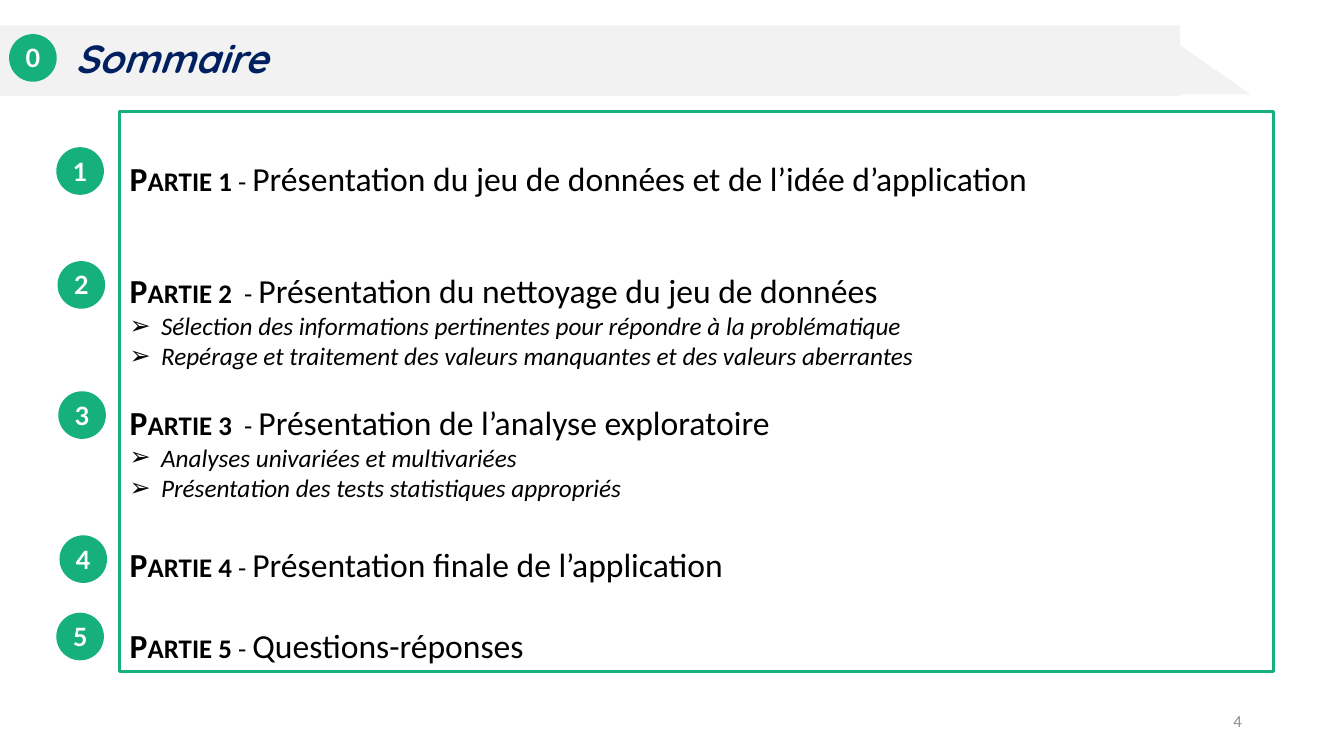
import pptx
import pptx.util
import pptx.dml.color
import pptx.enum.shapes
import pptx.enum.text
import pptx.oxml
import pptx.oxml.ns

Cm = pptx.util.Cm
Pt = pptx.util.Pt
RGBColor = pptx.dml.color.RGBColor
SHAPE = pptx.enum.shapes.MSO_SHAPE
ALIGN = pptx.enum.text.PP_ALIGN
ANCHOR = pptx.enum.text.MSO_ANCHOR

GREEN = RGBColor(0x16, 0xB0, 0x7D)
NAVY = RGBColor(0x00, 0x20, 0x60)
PALE = RGBColor(0xF2, 0xF2, 0xF2)
GREY = RGBColor(0x8C, 0x8C, 0x8C)
WHITE = RGBColor(0xFF, 0xFF, 0xFF)
BLACK = RGBColor(0, 0, 0)

# Number, badge left and top (cm), space above (pt), label, dash, heading, details
PARTS = [
    ("1", 1.42, 3.71, 0, "Partie 1", " - ",
     "Présentation du jeu de données et de l’idée d’application", []),
    ("2", 1.45, 6.58, 51.3, "Partie 2 ", " - ",
     "Présentation du nettoyage du jeu de données",
     ["Sélection des informations pertinentes pour répondre à la problématique",
      "Repérage et traitement des valeurs manquantes et des valeurs aberrantes"]),
    ("3", 1.47, 9.86, 22, "Partie 3 ", " - ",
     "Présentation de l’analyse exploratoire",
     ["Analyses univariées et multivariées",
      "Présentation des tests statistiques appropriés"]),
    ("4", 1.5, 13.49, 29.3, "Partie 4", " - ",
     "Présentation finale de l’application", []),
    ("5", 1.42, 15.44, 29.3, "Partie 5 ", "- ", "Questions-réponses", []),
]


def add_run(p, text, color, size, small=False, **formats):
    r = p.add_run()
    r.text = text
    r.font.color.rgb = color
    r.font.size = Pt(size)
    for name, value in formats.items():
        setattr(r.font, name, value)
    if small:
        r.font._element.set("cap", "small")


def set_frame(tf, **formats):
    for name, value in formats.items():
        setattr(tf, name, value)


def add_block(s, kind, left, top, width, height, fill=None):
    sp = s.shapes.add_shape(kind, Cm(left), Cm(top), Cm(width), Cm(height))
    sp.shadow.inherit = False
    sp.line.fill.background()
    if fill is None:
        sp.fill.background()
    else:
        sp.fill.solid()
        sp.fill.fore_color.rgb = fill
    return sp


def add_badge(s, number, left, top):
    sp = add_block(s, SHAPE.OVAL, left, top, 1.2, 1.2, GREEN)
    set_frame(sp.text_frame, margin_left=0, margin_right=0, margin_top=0,
              margin_bottom=0, vertical_anchor=ANCHOR.MIDDLE)
    p = sp.text_frame.paragraphs[0]
    p.alignment = ALIGN.CENTER
    add_run(p, number, WHITE, 18, name="Lato", bold=True)


def add_bullet(p):
    pPr = p._p.get_or_add_pPr()
    pPr.set("marL", str(Cm(0.79)))
    pPr.set("indent", str(-Cm(0.79)))
    for tag, key, value in (("buFont", "typeface", "Arial"), ("buChar", "char", "➢")):
        pPr.append(pptx.oxml.parse_xml(
            f'<a:{tag} {pptx.oxml.ns.nsdecls("a")} {key}="{value}"/>'))


def add_title(s, text):
    sp = s.shapes.title
    sp.left, sp.top, sp.width, sp.height = Cm(0.66), Cm(0.74), Cm(20.98), Cm(1.45)
    set_frame(sp.text_frame, margin_left=Cm(1.24), word_wrap=True,
              vertical_anchor=ANCHOR.TOP)
    p = sp.text_frame.paragraphs[0]
    p.alignment = ALIGN.LEFT
    add_run(p, text, NAVY, 28, name="Quicksand", bold=True, italic=True)
    s.shapes._spTree.append(sp.element)  # bring the title in front of the banner


def add_summary(s):
    sp = add_block(s, SHAPE.RECTANGLE, 3.02, 2.82, 29.08, 14.1)
    sp.line.color.rgb = GREEN
    sp.line.width = Pt(2.25)
    tf = sp.text_frame
    set_frame(tf, margin_top=Cm(1.16), word_wrap=True, vertical_anchor=ANCHOR.TOP)
    p = tf.paragraphs[0]
    for number, left, top, space, label, dash, heading, details in PARTS:
        if space:
            p = tf.add_paragraph()
            p.space_before = Pt(space)
        p.alignment = ALIGN.LEFT
        add_run(p, label, BLACK, 24, small=True, name="Calibri", bold=True)
        add_run(p, dash, BLACK, 24, small=True, name="Calibri")
        add_run(p, heading, BLACK, 24, name="Calibri")
        for detail in details:
            p = tf.add_paragraph()
            p.alignment = ALIGN.LEFT
            add_bullet(p)
            add_run(p, detail, BLACK, 18, name="Calibri", italic=True)


def add_page_number(s, number):
    sp = s.shapes.add_textbox(Cm(23.93), Cm(17.65), Cm(7.62), Cm(1.02))
    set_frame(sp.text_frame, word_wrap=True, vertical_anchor=ANCHOR.MIDDLE)
    p = sp.text_frame.paragraphs[0]
    p.alignment = ALIGN.RIGHT
    add_run(p, number, GREY, 12, name="Calibri")


def main():
    prs = pptx.Presentation()
    prs.slide_width, prs.slide_height = Cm(33.87), Cm(19.05)
    s = prs.slides.add_slide(prs.slide_layouts[5])

    # Banner and title
    add_block(s, SHAPE.RIGHT_TRIANGLE, 29.41, 0.91, 2.11, 1.47, PALE)
    add_block(s, SHAPE.RECTANGLE, 0, 0.64, 29.74, 1.78, PALE)
    add_title(s, "Sommaire")
    add_badge(s, "0", 0.23, 0.86)

    # Summary and its numbered badges
    add_summary(s)
    for number, left, top, *rest in PARTS:
        add_badge(s, number, left, top)

    # Footer
    add_page_number(s, "4")
    prs.save("out.pptx")


if __name__ == "__main__":
    main()
